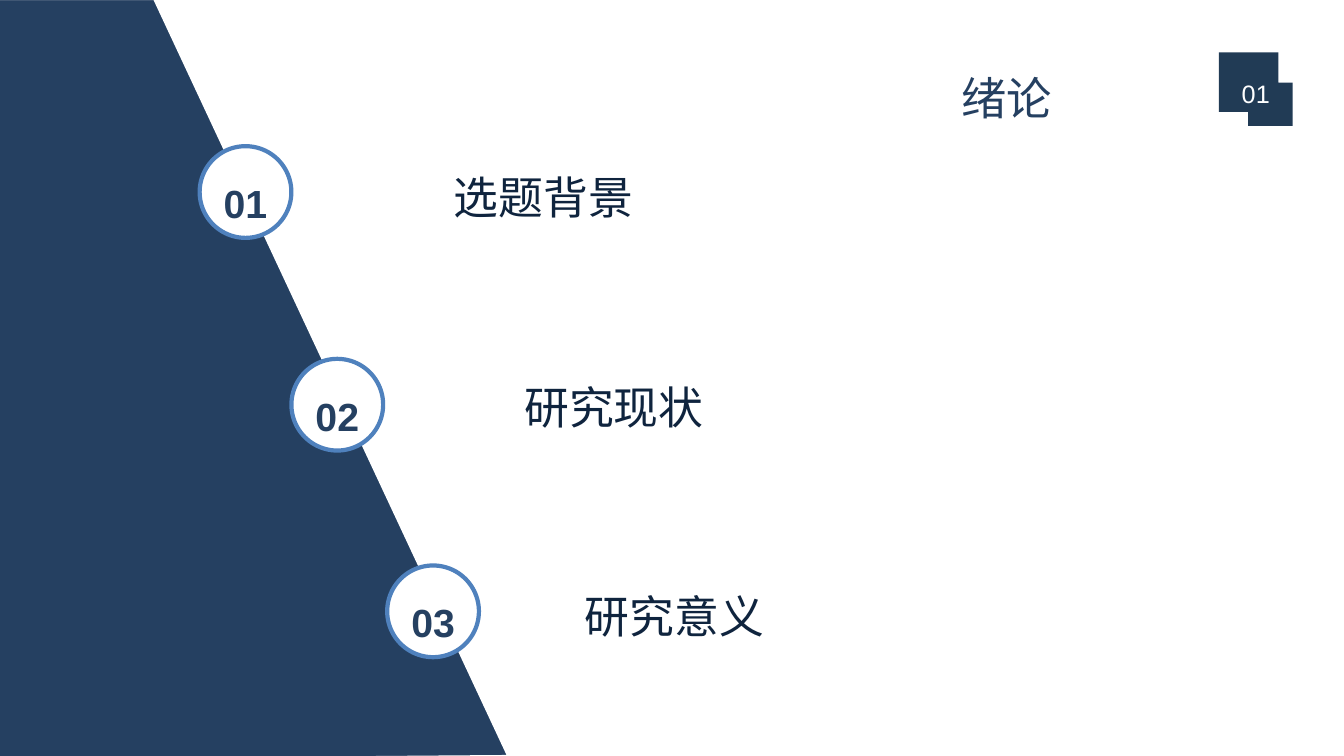
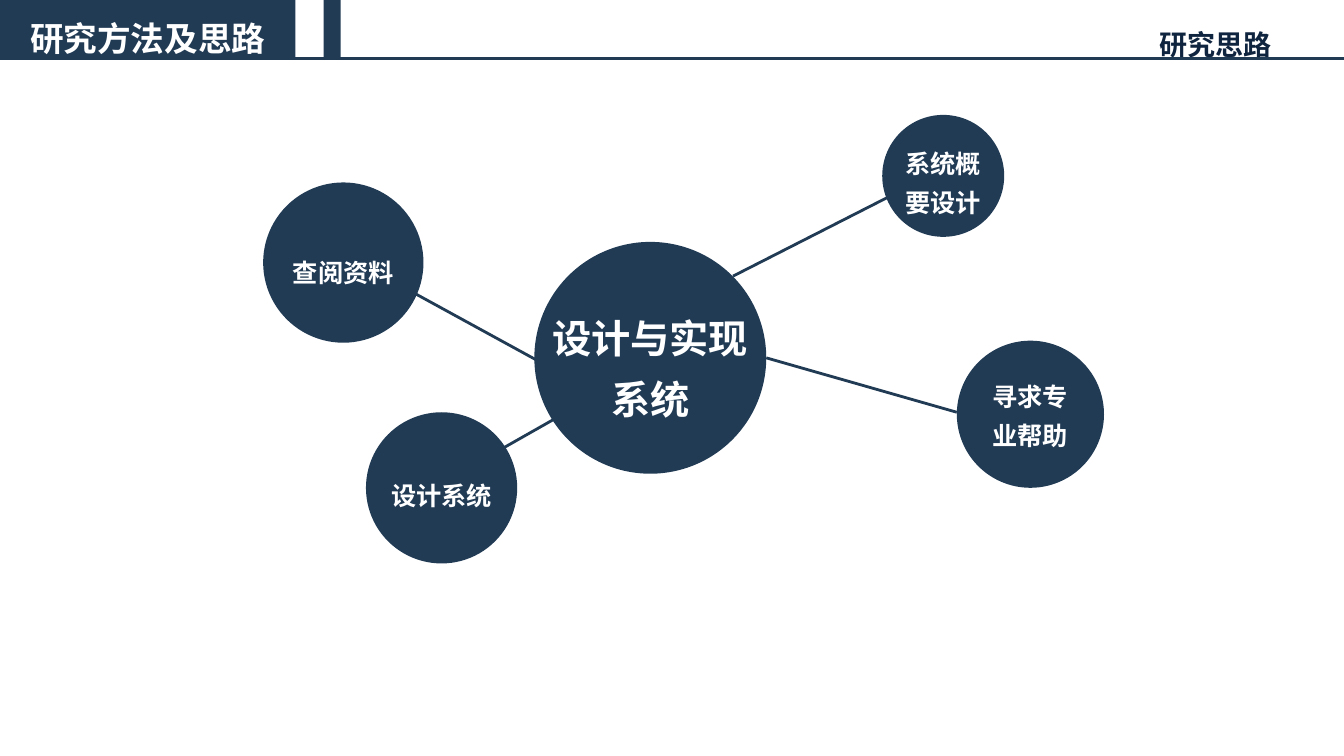
import dataclasses

import lxml.etree
import pptx
import pptx.dml.color
import pptx.enum.shapes
import pptx.enum.text
import pptx.oxml.ns
import pptx.util

PX = 9144  # EMU in one px, 100 px to the inch
WIDTH, HEIGHT = 1333, 750
ALIGN = pptx.enum.text.PP_ALIGN
ANCHOR = pptx.enum.text.MSO_ANCHOR
SHAPE = pptx.enum.shapes.MSO_SHAPE
qn = pptx.oxml.ns.qn


@dataclasses.dataclass(frozen=True)
class Theme:
    navy: str = "213B55"
    panel: str = "254061"
    ink: str = "0F243E"
    ring: str = "4F81BD"
    white: str = "FFFFFF"
    latin: str = "Arial"
    asian: str = "Noto Sans CJK SC"
    cover: float = 32.4
    item: int = 32
    hub: int = 28
    band: int = 24
    note: int = 20
    label: int = 18
    leading: float = 1.55
    item_gap: int = 100


T = Theme()


def px(n):
    return pptx.util.Emu(n * PX)


def rgb(code):
    return pptx.dml.color.RGBColor.from_string(code)


# Text

def set_text(sp, text, size, color, bold=False, align=ALIGN.CENTER,
             anchor=ANCHOR.MIDDLE, wrap=True, drop=0):
    """Write one paragraph per line; drop moves middled text down by px."""
    tf = sp.text_frame
    tf.text = text
    frame = {"word_wrap": wrap, "vertical_anchor": anchor,
             "auto_size": pptx.enum.text.MSO_AUTO_SIZE.NONE}
    if anchor == ANCHOR.MIDDLE:
        frame.update(margin_left=0, margin_right=0,
                     margin_top=px(2 * max(drop, 0)),
                     margin_bottom=px(2 * max(-drop, 0)))
    para = {"alignment": align, "space_before": pptx.util.Pt(0),
            "line_spacing": pptx.util.Pt(round(size * T.leading, 1))}
    font = {"name": T.latin, "size": pptx.util.Pt(size), "bold": bold}
    apply_format(tf, frame)
    for p in tf.paragraphs:
        apply_format(p, para)
        for r in p.runs:
            apply_format(r.font, font)
            r.font.color.rgb = rgb(color)
            lxml.etree.SubElement(r._r.get_or_add_rPr(), qn("a:ea"),
                                  typeface=T.asian)


def apply_format(target, values):
    for name, value in values.items():
        setattr(target, name, value)


def place(sp, x, y, w, h):
    apply_format(sp, {"left": px(x), "top": px(y),
                      "width": px(w), "height": px(h)})


# Shapes

def paint(sp, fill, line=None, width=1):
    sp.shadow.inherit = False
    sp.fill.solid()
    sp.fill.fore_color.rgb = rgb(fill)
    if line:
        sp.line.color.rgb = rgb(line)
        sp.line.width = pptx.util.Pt(width)
    else:
        sp.line.fill.background()


def add_block(slide, kind, x, y, w, h, fill, line=None, width=1):
    sp = slide.shapes.add_shape(kind, px(x), px(y), px(w), px(h))
    paint(sp, fill, line, width)
    return sp


def add_outline(slide, points, fill, line=None, width=1):
    fb = slide.shapes.build_freeform(*points[0], scale=PX)
    fb.add_line_segments(points[1:], close=True)
    sp = fb.convert_to_shape()
    paint(sp, fill, line, width)
    return sp


def add_line(slide, x1, y1, x2, y2):
    cx = slide.shapes.add_connector(
        pptx.enum.shapes.MSO_CONNECTOR.STRAIGHT,
        px(x1), px(y1), px(x2), px(y2))
    cx.line.color.rgb = rgb(T.navy)
    cx.line.width = pptx.util.Pt(2)
    lxml.etree.SubElement(cx._element.spPr, qn("a:effectLst"))


def add_bubble(slide, x, y, d, text, size=T.label, drop=0):
    sp = add_block(slide, SHAPE.OVAL, x, y, d, d, T.navy)
    set_text(sp, text, size, T.white, bold=True, wrap=False, drop=drop)


def add_number(slide, x, y, text):
    sp = add_block(slide, SHAPE.OVAL, x, y, 91, 91, T.white, T.ring, 3)
    set_text(sp, text, T.hub, T.panel, bold=True, wrap=False, drop=4)


# Slides

def build_section(prs):
    slide = prs.slides.add_slide(prs.slide_layouts[0])
    title, body = slide.placeholders

    # Section title and number badge
    place(title, 704, 52, 589, 73)
    set_text(title, "绪论", T.cover, T.panel, anchor=ANCHOR.BOTTOM)
    title.text_frame.margin_bottom = px(1)
    badge = add_outline(slide, [(1209, 52), (1268, 52), (1268, 82), (1282, 82),
                                (1282, 125), (1238, 125), (1238, 111),
                                (1209, 111)], T.navy)
    set_text(badge, "01", T.label, T.white)

    # Topics, stepping right along the slope
    place(body, 440, 148, 890, 461)
    set_text(body, "选题背景\n研究现状\n研究意义", T.item, T.ink,
             align=ALIGN.LEFT, anchor=ANCHOR.TOP)
    for p, indent in zip(body.text_frame.paragraphs, (0, 70, 130)):
        p._p.get_or_add_pPr().set("marL", str(px(indent)))
        if indent:
            p.space_before = pptx.util.Pt(T.item_gap)

    # Sloped panel with numbered rings
    add_outline(slide, [(504, 750), (153, -1), (-3, -1), (-1, 754)],
                T.panel, T.white, 1.5)
    for i, (x, y) in enumerate([(198, 145), (289, 356), (384, 561)], 1):
        add_number(slide, x, y, f"{i:02d}")


def build_approach(prs):
    slide = prs.slides.add_slide(prs.slide_layouts[5])

    # Header band
    title = slide.shapes.title
    place(title, 0, 0, 293, 58)
    paint(title, T.navy)
    set_text(title, "研究方法及思路", T.band, T.white, bold=True, drop=3)
    note = slide.shapes.add_textbox(px(741), px(13), px(530), px(54))
    set_text(note, "研究思路", T.note, T.ink, bold=True,
             align=ALIGN.RIGHT, anchor=ANCHOR.TOP)
    add_block(slide, SHAPE.RECTANGLE, 321, 0, 17, 58, T.navy)
    add_line(slide, 0, 58, WIDTH, 58)

    # Spokes, then the bubbles over their ends
    for ends in [(413, 292, 550, 367), (500, 444, 567, 406),
                 (727, 274, 884, 194), (760, 355, 949, 409)]:
        add_line(slide, *ends)
    for x, y, d, text, drop in [(875, 114, 121, "系统概\n要设计", 3),
                                (261, 181, 159, "查阅资料", 5),
                                (949, 338, 146, "寻求专\n业帮助", -3),
                                (363, 409, 150, "设计系统", 3)]:
        add_bubble(slide, x, y, d, text, drop=drop)
    add_bubble(slide, 530, 240, 230, "设计与实现\v系统", T.hub, drop=4)


def main():
    prs = pptx.Presentation()
    prs.slide_width, prs.slide_height = px(WIDTH), px(HEIGHT)
    build_section(prs)
    build_approach(prs)
    prs.save("out.pptx")


if __name__ == "__main__":
    main()
